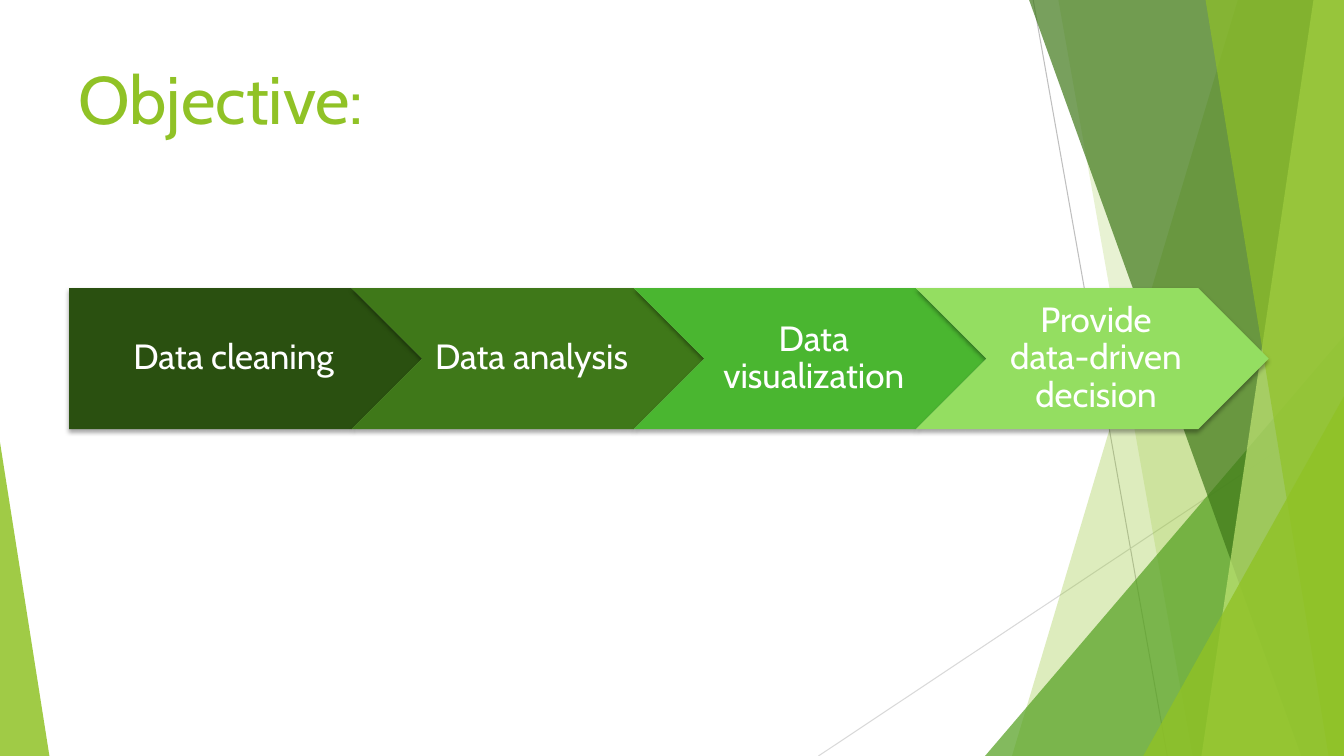
from dataclasses import dataclass

from pptx import Presentation
from pptx.dml.color import RGBColor
from pptx.enum.shapes import MSO_CONNECTOR, MSO_SHAPE
from pptx.enum.text import MSO_ANCHOR as ANCHOR, PP_ALIGN as ALIGN
from pptx.oxml import parse_xml
from pptx.oxml.ns import nsdecls
from pptx.util import Pt


@dataclass(frozen=True)
class Theme:
    """Colours, font, type sizes and slide size in points."""
    font: str = "Cabin"
    title_size: float = 48
    step_size: float = 25
    lime: str = "90C226"
    pale: str = "C0E474"
    leaf: str = "54A021"
    forest: str = "3F7819"
    white: str = "FFFFFF"
    steps: tuple = ("2A5010", "3F7819", "4AB630", "94DE61")
    width: float = 960
    height: float = 540


THEME = Theme()


def set_all(obj, values):
    """Set each named attribute of an object."""
    for name, value in values.items():
        setattr(obj, name, value)


def paint(s, color, alpha=100):
    """Give a shape a flat fill with an opacity in percent and no outline."""
    s.shadow.inherit = False
    s.line.fill.background()
    s.fill.solid()
    s.fill.fore_color.rgb = RGBColor.from_string(color)
    if alpha < 100:
        clr = s._element.spPr.find(".//{*}srgbClr")
        clr.append(parse_xml(f'<a:alpha {nsdecls("a")} val="{alpha * 1000}"/>'))


def add_shadow(s):
    """Give a shape a soft shadow below it."""
    s._element.spPr.find("{*}effectLst").append(parse_xml(
        f'<a:outerShdw {nsdecls("a")} blurRad="{Pt(3)}" dist="{Pt(2)}" dir="5400000" '
        'algn="ctr" rotWithShape="0"><a:srgbClr val="000000"><a:alpha val="35000"/>'
        '</a:srgbClr></a:outerShdw>'))


def add_hairline(shapes, x1, y1, x2, y2, color):
    """Draw a thin straight line."""
    s = shapes.add_connector(MSO_CONNECTOR.STRAIGHT, Pt(x1), Pt(y1), Pt(x2), Pt(y2))
    s.line.color.rgb = RGBColor.from_string(color)
    s.line.width = Pt(0.75)
    s._element.spPr.append(parse_xml(f'<a:effectLst {nsdecls("a")}/>'))


def add_facet(shapes, top_x, bottom_x, color, alpha):
    """Draw a full-height band from a slanted edge to the right of the slide."""
    right, bottom = Pt(THEME.width), Pt(THEME.height)
    builder = shapes.build_freeform(Pt(top_x), 0)
    builder.add_line_segments([(right, 0), (right, bottom), (Pt(bottom_x), bottom)])
    paint(builder.convert_to_shape(), color, alpha)


def add_corner(shapes, x, y, w, apex, color, alpha):
    """Draw a triangle that stands on the bottom edge of the slide."""
    s = shapes.add_shape(MSO_SHAPE.ISOSCELES_TRIANGLE, Pt(x), Pt(y), Pt(w), Pt(THEME.height - y))
    s.adjustments[0] = apex
    paint(s, color, alpha)


def write(s, text, size, color, frame, para):
    """Write one formatted paragraph into a shape."""
    tf = s.text_frame
    set_all(tf, {"word_wrap": True, **frame})
    p = tf.paragraphs[0]
    set_all(p, para)
    r = p.add_run()
    r.text = text
    set_all(r.font, {"name": THEME.font, "size": Pt(size)})
    r.font.color.rgb = RGBColor.from_string(color)


def add_title(shapes, text):
    """Add the slide heading."""
    s = shapes.add_textbox(Pt(49), Pt(37.5), Pt(811), Pt(104))
    write(s, text, THEME.title_size, THEME.lime,
          {"vertical_anchor": ANCHOR.TOP}, {"alignment": ALIGN.LEFT})


def add_steps(shapes, labels):
    """Add the row of interlocking process arrows."""
    x, y, w, h, pitch = 49.4, 205.8, 252, 100.8, 201.6
    for i, (label, color) in enumerate(zip(labels, THEME.steps)):
        kind = MSO_SHAPE.CHEVRON if i else MSO_SHAPE.PENTAGON
        s = shapes.add_shape(kind, Pt(x + i * pitch), Pt(y), Pt(w), Pt(h))
        paint(s, color)
        add_shadow(s)
        frame = {"vertical_anchor": ANCHOR.MIDDLE, "margin_left": Pt(8 if i else 10.7),
                 "margin_right": Pt(2.7), "margin_top": Pt(5.3), "margin_bottom": Pt(5.3)}
        write(s, label, THEME.step_size, THEME.white, frame,
              {"alignment": ALIGN.CENTER, "line_spacing": 0.9})


def add_backdrop(shapes):
    """Add the translucent green facets at the slide edges."""
    t = THEME
    add_hairline(shapes, 738, 0, 833.8, t.height, "BFBFBF")
    add_hairline(shapes, t.width, 290.2, 584.6, t.height, "D9D9D9")
    add_facet(shapes, 884.2, 722.9, t.lime, 30)
    add_facet(shapes, 756, 851.8, t.lime, 20)
    add_corner(shapes, 703.6, 240, 256.4, 1, t.leaf, 72)
    add_facet(shapes, 735.1, 929.5, t.forest, 70)
    add_facet(shapes, 938.2, 858.2, t.pale, 70)
    add_facet(shapes, 861.1, 949, t.lime, 65)
    add_corner(shapes, 816.6, 283, 143.4, 1, t.lime, 80)
    add_corner(shapes, 0, 316, 35.3, 0, t.lime, 85)


def main():
    """Build and save the slide."""
    prs = Presentation()
    set_all(prs, {"slide_width": Pt(THEME.width), "slide_height": Pt(THEME.height)})
    shapes = prs.slides.add_slide(prs.slide_layouts[6]).shapes
    add_backdrop(shapes)
    add_title(shapes, "Objective:")
    add_steps(shapes, ("Data cleaning", "Data analysis", "Data visualization",
                       "Provide data-driven decision"))
    prs.save("out.pptx")


if __name__ == "__main__":
    main()
